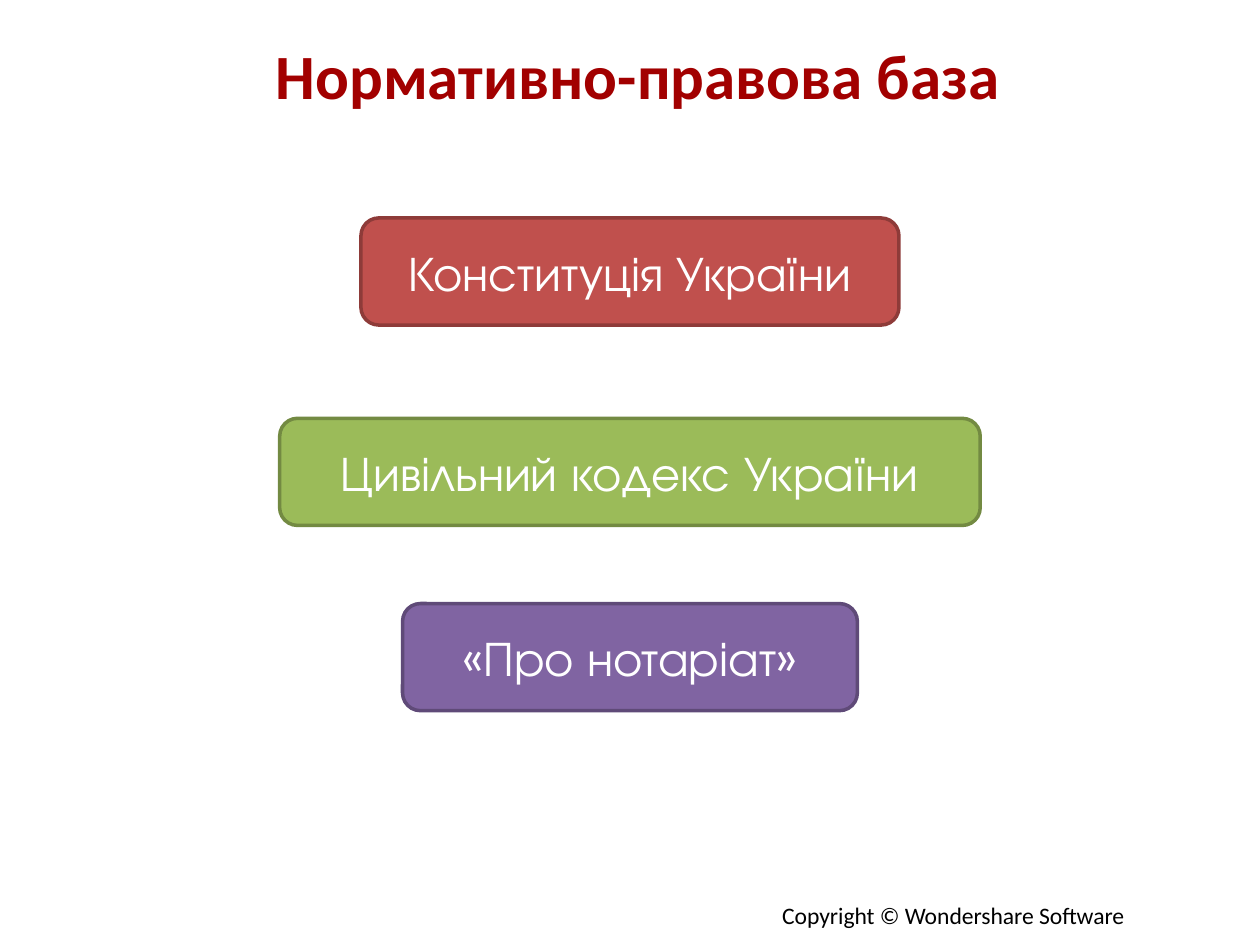
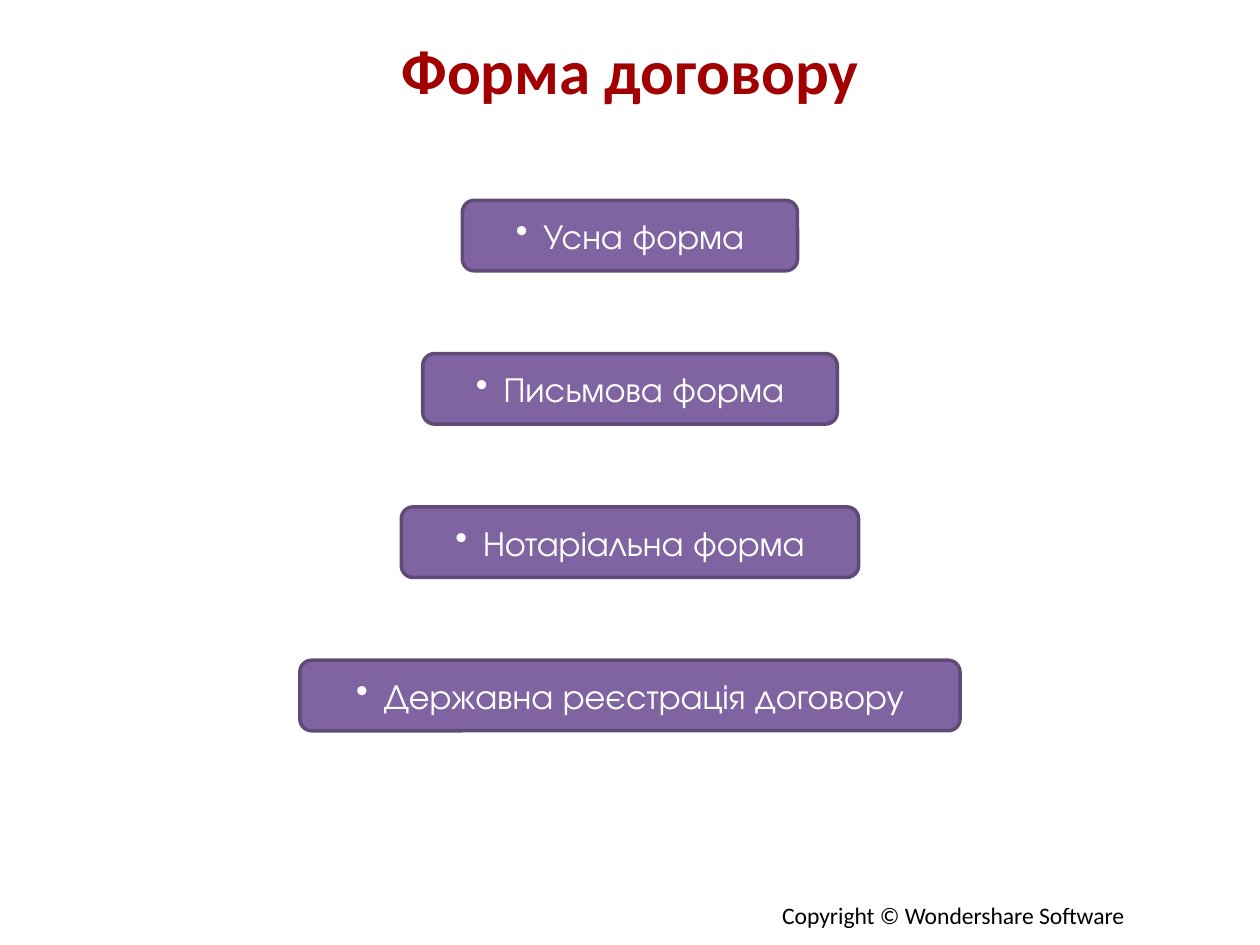
from lxml.etree import SubElement
from pptx import Presentation
from pptx.dml.color import RGBColor
from pptx.enum.shapes import MSO_SHAPE as Preset
from pptx.enum.text import MSO_ANCHOR as Anchor, PP_ALIGN as Align
from pptx.oxml.ns import qn
from pptx.util import Inches, Pt

WHITE = RGBColor(0xFF, 0xFF, 0xFF)
BLACK = RGBColor(0x00, 0x00, 0x00)
TITLE_RED = RGBColor(0xA2, 0x00, 0x00)
RED = (RGBColor(0xC0, 0x50, 0x4D), RGBColor(0x8E, 0x3B, 0x39))
GREEN = (RGBColor(0x9B, 0xBB, 0x59), RGBColor(0x73, 0x8A, 0x42))
PURPLE = (RGBColor(0x80, 0x64, 0xA2), RGBColor(0x5F, 0x4A, 0x78))

TITLE_FONT = "Calibri"
BOX_FONT = "TeX Gyre Adventor"
SLIDE_WIDTH, SLIDE_HEIGHT = 10, 7.5
BULLET_INDENT = 0.22

FOOTER = "Copyright © Wondershare Software"
FOOTER_AREA = (6.11, 7.1, 2.97, 0.33)

LEGAL_TITLE = "Нормативно-правова база"
LEGAL_TITLE_AREA = (2.09, 0.25, 6.28, 0.68)
LEGAL_BOX_HEIGHT = 0.85
LEGAL_ACTS = [
    ("Конституція України", 1.73, 4.27, RED),
    ("Цивільний кодекс України", 3.32, 5.56, GREEN),
    ("«Про нотаріат»", 4.79, 3.61, PURPLE),
]

FORMS_TITLE = "Форма договору"
FORMS_TITLE_AREA = (1.29, -0.25, 7.42, 1.6)
FORM_BOX_HEIGHT = 0.56
FIRST_FORM_TOP, LAST_FORM_TOP = 1.59, 5.24
CONTRACT_FORMS = [
    ("Усна форма", 2.66),
    ("Письмова форма", 3.29),
    ("Нотаріальна форма", 3.63),
    ("Державна реєстрація договору", 5.24),
]


def write_text(shape, text, size, font=TITLE_FONT, color=BLACK, bold=False,
               align=Align.LEFT, anchor=Anchor.MIDDLE, wrap=True, bullet=False):
    frame = shape.text_frame
    frame.word_wrap = wrap
    frame.vertical_anchor = anchor
    paragraph = frame.paragraphs[0]
    paragraph.alignment = align
    if bullet:
        properties = paragraph._p.get_or_add_pPr()
        properties.set("marL", str(Inches(BULLET_INDENT)))
        properties.set("indent", str(-Inches(BULLET_INDENT)))
        SubElement(properties, qn("a:buChar"), char="•")
    run = paragraph.add_run()
    run.text = text
    run.font.size = Pt(size)
    run.font.name = font
    run.font.bold = bold
    run.font.color.rgb = color


def add_text(slide, area, text, size, **style):
    shape = slide.shapes.add_textbox(*map(Inches, area))
    write_text(shape, text, size, **style)


def add_box(slide, text, top, width, height, colors, size, bullet=False):
    left = (SLIDE_WIDTH - width) / 2
    shape = slide.shapes.add_shape(
        Preset.ROUNDED_RECTANGLE, *map(Inches, (left, top, width, height)))
    fill, line = colors
    shape.shadow.inherit = False
    shape.fill.solid()
    shape.fill.fore_color.rgb = fill
    shape.line.color.rgb = line
    shape.line.width = Pt(2)
    write_text(shape, text, size, font=BOX_FONT, color=WHITE,
               align=Align.CENTER, bullet=bullet)


def add_slide(presentation, title, title_area, title_align):
    slide = presentation.slides.add_slide(presentation.slide_layouts[6])
    add_text(slide, FOOTER_AREA, FOOTER, 13.5, anchor=Anchor.TOP, wrap=False)
    add_text(slide, title_area, title, 36, color=TITLE_RED, bold=True,
             align=title_align)
    return slide


def add_legal_slide(presentation):
    slide = add_slide(presentation, LEGAL_TITLE, LEGAL_TITLE_AREA, Align.JUSTIFY)
    for text, top, width, colors in LEGAL_ACTS:
        add_box(slide, text, top, width, LEGAL_BOX_HEIGHT, colors, 28)


def add_forms_slide(presentation):
    slide = add_slide(presentation, FORMS_TITLE, FORMS_TITLE_AREA, Align.CENTER)
    step = (LAST_FORM_TOP - FIRST_FORM_TOP) / (len(CONTRACT_FORMS) - 1)
    for index, (text, width) in enumerate(CONTRACT_FORMS):
        add_box(slide, text, FIRST_FORM_TOP + index * step, width,
                FORM_BOX_HEIGHT, PURPLE, 20, bullet=True)


def main():
    presentation = Presentation()
    presentation.slide_width = Inches(SLIDE_WIDTH)
    presentation.slide_height = Inches(SLIDE_HEIGHT)
    add_legal_slide(presentation)
    add_forms_slide(presentation)
    presentation.save("out.pptx")


if __name__ == "__main__":
    main()
